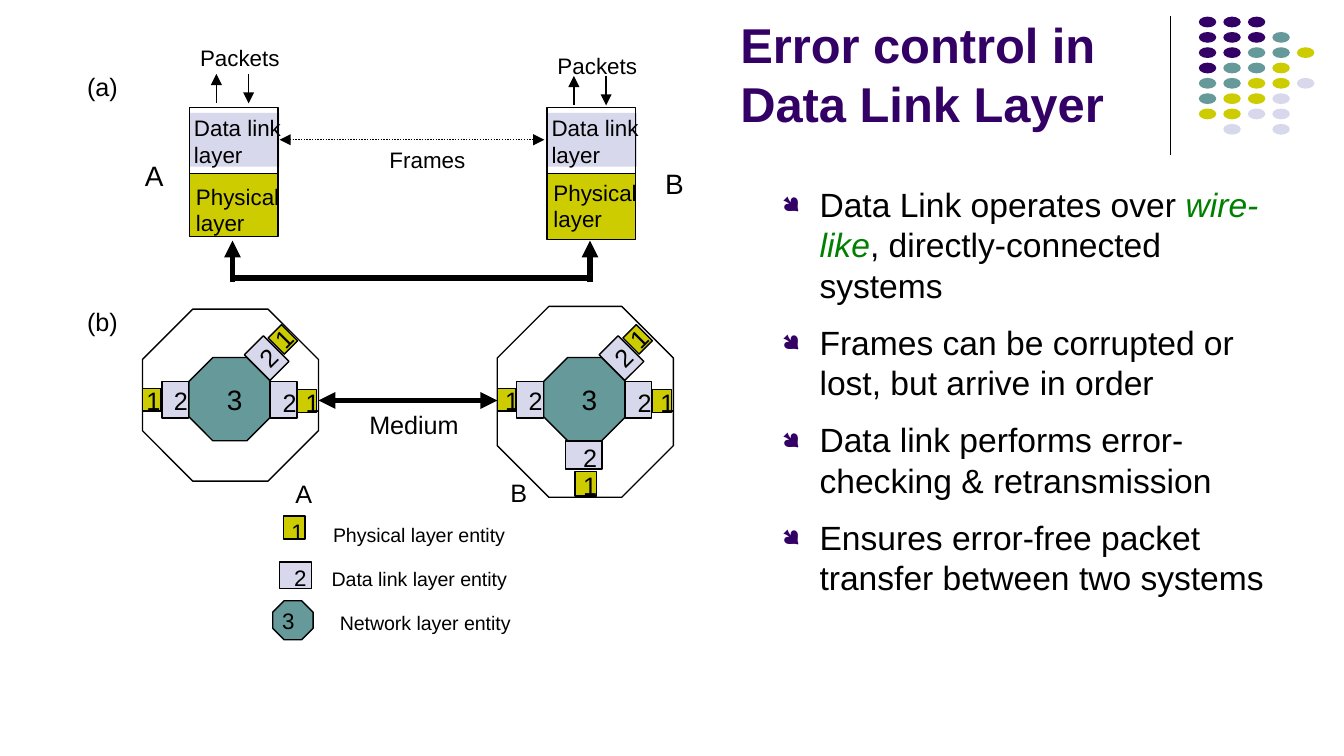
from lxml.etree import SubElement
from pptx import Presentation
from pptx.dml.color import RGBColor
from pptx.enum.dml import MSO_LINE
from pptx.enum.shapes import MSO_CONNECTOR, MSO_SHAPE
from pptx.enum.text import MSO_ANCHOR
from pptx.oxml.ns import qn
from pptx.util import Inches, Pt

COLS, ROWS = 1000, 562.5
BLACK = RGBColor(0, 0, 0)
WHITE = RGBColor(255, 255, 255)
PURPLE = RGBColor(0x33, 0, 0x66)
TEAL = RGBColor(0x66, 0x99, 0x99)
LIME = RGBColor(0xCC, 0xCC, 0)
LILAC = RGBColor(0xD8, 0xD8, 0xEC)
GREEN = RGBColor(0, 0x80, 0)
RECT, OCTAGON, OVAL = MSO_SHAPE.RECTANGLE, MSO_SHAPE.OCTAGON, MSO_SHAPE.OVAL
TALL = {10.5: 28, 12: 30, 13.5: 33, 15: 35}
FILLS = {"1": LIME, "2": LILAC}
SIZES = {"1": (14, 17), "2": (20, 27)}
DOTS = ("PPP", "PPPT", "PPTTY", "PTTY", "TTYYL", "TYYL", "YYLL", " L L")
INKS = {"P": PURPLE, "T": TEAL, "Y": LIME, "L": LILAC}
POINTS = (
    (("Data Link operates over ", BLACK), ("wire-like", GREEN),
     (", directly-connected systems", BLACK)),
    (("Frames can be corrupted or lost, but arrive in order", BLACK),),
    (("Data link performs error-checking & retransmission", BLACK),),
    (("Ensures error-free packet transfer between two systems", BLACK),),
)


def grid(*cells):
    return [Inches(cell / 100) for cell in cells]


def add_run(para, text, size, color=BLACK, bold=False, slant=False):
    run = para.add_run()
    run.text = text
    font = run.font
    font.name, font.size = "Arial", Pt(size)
    font.bold, font.italic = bold, slant
    font.color.rgb = color


def add_box(slide, kind, place, fill=None, edge=True, turn=0):
    box = slide.shapes.add_shape(kind, *grid(*place))
    box.shadow.inherit = False
    box.rotation = turn
    if fill is None:
        box.fill.background()
    else:
        box.fill.solid()
        box.fill.fore_color.rgb = fill
    if edge:
        box.line.color.rgb = BLACK
        box.line.width = Pt(0.75)
    else:
        box.line.fill.background()


def add_label(slide, text, x, y, width, size=12, turn=0):
    lines = text.split("\n")
    height = TALL[size] + 21 * (len(lines) - 1)
    label = slide.shapes.add_textbox(*grid(x, y, width, height))
    label.rotation = turn
    frame = label.text_frame
    frame.word_wrap = False
    for index, line in enumerate(lines):
        para = frame.add_paragraph() if index else frame.paragraphs[0]
        add_run(para, line, size)


def add_line(slide, start, end, width=0.75, head=False, tail=False, dash=None):
    line = slide.shapes.add_connector(
        MSO_CONNECTOR.STRAIGHT, *grid(*start, *end))
    line.line.color.rgb = BLACK
    line.line.width = Pt(width)
    if dash:
        line.line.dash_style = dash
    props = line.line._get_or_add_ln()
    for name, shown in (("a:headEnd", head), ("a:tailEnd", tail)):
        if shown:
            SubElement(props, qn(name), type="triangle")
    SubElement(line._element.spPr, qn("a:effectLst"))


def add_tag(slide, digit, spot, text, size=None, turn=0, tilt=0, font=13.5):
    add_box(slide, RECT, spot + (size or SIZES[digit]), FILLS[digit], turn=turn)
    add_label(slide, digit, *text, 31 if font == 13.5 else 29, font, tilt)


def add_dots(slide):
    add_line(slide, (871, 12), (871, 115))
    for row, marks in enumerate(DOTS):
        for col, mark in enumerate(marks):
            if mark in INKS:
                spot = (892 + 18.25 * col, 12.4 + 11.4 * row, 13, 8)
                add_box(slide, OVAL, spot, INKS[mark], edge=False)


def add_stack(slide, x, depth, base, drop, top):
    add_box(slide, RECT, (x, 84, 67, 40), LILAC, edge=False)
    add_box(slide, RECT, (x, 80, 66, 49))
    add_box(slide, RECT, (x, 129, 66, depth), LIME)
    add_label(slide, "Data link\nlayer", x - 6.5, 80, 85)
    add_label(slide, "Physical\nlayer", x - 5, base, 83)
    add_line(slide, (x + 32, 179), (x + 32, 210), 3, head=True)
    add_line(slide, (x + 20, drop), (x + 20, drop + 22), head=True)
    add_line(slide, (x + 44, drop), (x + 44, drop + 22), tail=True)
    add_label(slide, "Packets", x - 2, top, 80)


def add_node(slide, x, y, height, lead):
    add_box(slide, OCTAGON, (x, y, 131, height))
    add_box(slide, OCTAGON, (x + 34.5, 266, 61, 62), TEAL)
    add_label(slide, "3", x + 53, 280, 32, 15)
    add_tag(slide, "2", (x + 95, 284), (x + 94.5, 283))
    add_tag(slide, "1", (x + 115.5, 290), (x + 111.5, 283))
    add_tag(slide, "1", (x, 289), (x + lead, 282))
    add_tag(slide, "2", (x + 14.5, 284), (x + 13.5, 282))
    add_tag(slide, "2", (x + 82.5, 253), (x + 78.5, 249), turn=315, tilt=315)
    add_tag(slide, "1", (x + 97.5, 244), (x + 90, 235.5), turn=315, tilt=315)


def add_key(slide):
    add_tag(slide, "1", (211, 384), (207, 381), (16, 17), font=12)
    add_tag(slide, "2", (210, 416), (209, 415), (20, 24), 270, font=12)
    add_box(slide, OCTAGON, (203, 447, 30, 29), TEAL)
    add_label(slide, "3", 200, 447, 29)
    add_label(slide, "Physical layer entity", 238, 384, 150, 10.5)
    add_label(slide, "Data link layer entity", 237, 417, 153, 10.5)
    add_label(slide, "Network layer entity", 243, 450, 150, 10.5)


def add_title(slide):
    frame = slide.shapes.add_textbox(*grid(541, 19, 325, 84)).text_frame
    frame.word_wrap = True
    frame.vertical_anchor = MSO_ANCHOR.BOTTOM
    add_run(frame.paragraphs[0], "Error control in Data Link Layer",
            26.2, PURPLE, bold=True)


def add_points(slide):
    frame = slide.shapes.add_textbox(*grid(572, 132, 383, 348)).text_frame
    frame.word_wrap = True
    for index, point in enumerate(POINTS):
        para = frame.add_paragraph() if index else frame.paragraphs[0]
        if index:
            para.space_before = Pt(9)
        props = para._p.get_or_add_pPr()
        props.set("marL", str(Inches(0.28)))
        props.set("indent", str(-Inches(0.28)))
        color = SubElement(props, qn("a:buClr"))
        SubElement(color, qn("a:srgbClr"), val=str(PURPLE))
        SubElement(props, qn("a:buSzPct"), val="70000")
        SubElement(props, qn("a:buFont"), typeface="Wingdings")
        SubElement(props, qn("a:buChar"), char="●")
        for text, ink in point:
            add_run(para, text, 18, ink, slant=ink == GREEN)


def main():
    deck = Presentation()
    deck.slide_width, deck.slide_height = grid(COLS, ROWS)
    slide = deck.slides.add_slide(deck.slide_layouts[6])
    slide.background.fill.solid()
    slide.background.fill.fore_color.rgb = WHITE
    add_dots(slide)
    add_key(slide)
    add_label(slide, "(a)", 55, 48, 45, 13.5)
    add_stack(slide, 141, 47, 131, 55, 28)
    add_stack(slide, 407, 49, 128, 56.5, 34)
    add_line(slide, (172, 207), (440, 207), 3)
    add_label(slide, "A", 98, 113, 34, 15)
    add_label(slide, "B", 485, 119, 34, 15)
    add_line(slide, (208, 104), (405, 104), head=True, tail=True,
             dash=MSO_LINE.ROUND_DOT)
    add_label(slide, "Frames", 280, 104, 77)
    add_label(slide, "(b)", 55, 223, 46, 13.5)
    add_node(slide, 106, 230, 128, -7)
    add_node(slide, 370, 228, 142, -4)
    add_tag(slide, "2", (424, 325), (424, 324), (21, 27), 270)
    add_tag(slide, "1", (428, 351), (424, 345), (16, 18))
    add_line(slide, (237, 298), (370, 298), 3, head=True, tail=True)
    add_label(slide, "Medium", 265, 300, 87, 13.5)
    add_label(slide, "A", 210, 351, 33, 13.5)
    add_label(slide, "B", 370, 350, 33, 13.5)
    add_title(slide)
    add_points(slide)
    deck.save("out.pptx")


if __name__ == "__main__":
    main()
